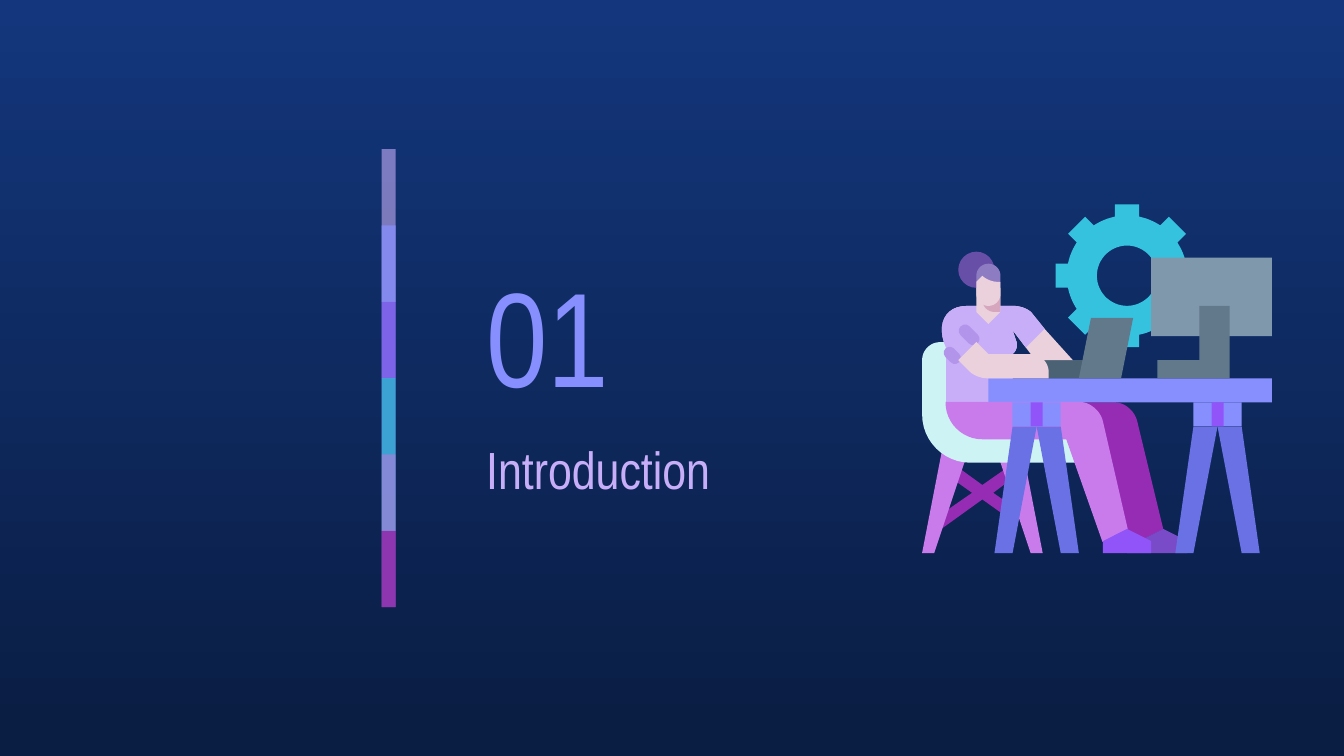
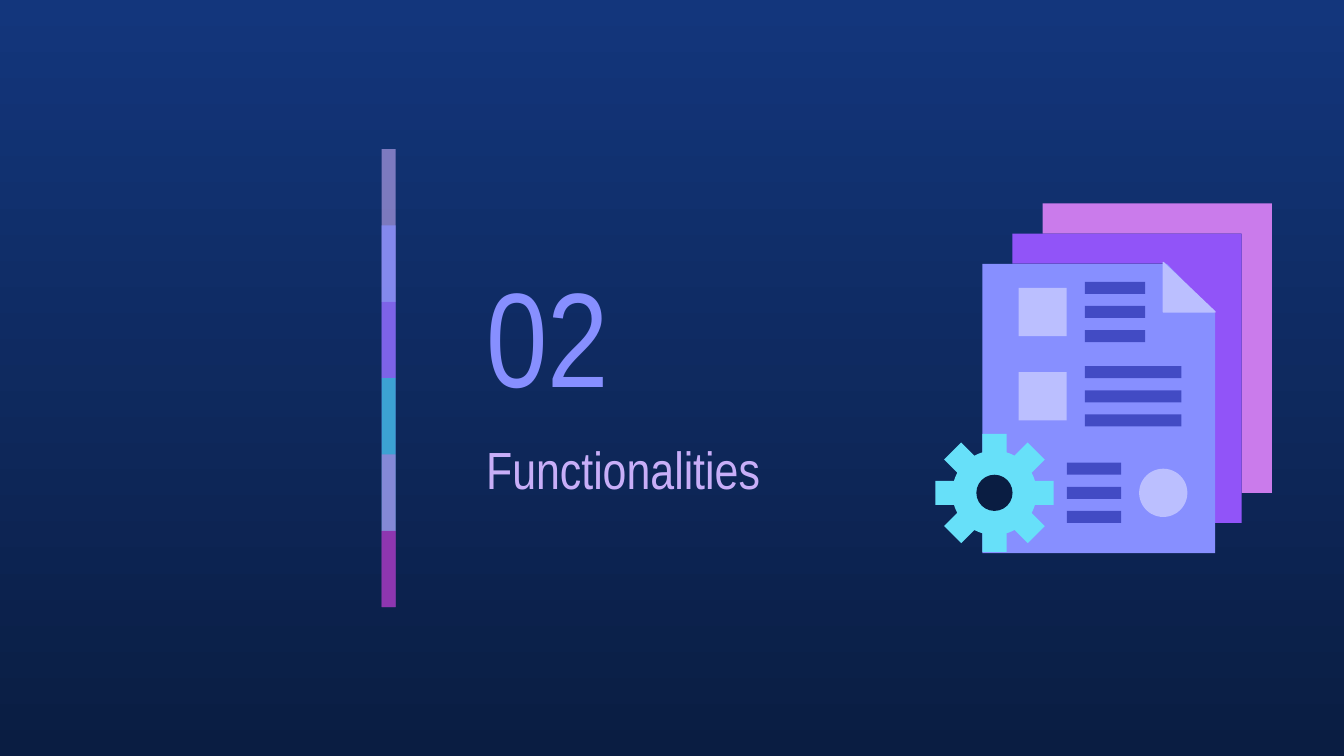
from math import asin, cos, pi, radians, sin

from lxml.etree import SubElement
from pptx import Presentation
from pptx.dml.color import RGBColor
from pptx.enum.shapes import MSO_SHAPE as Preset
from pptx.enum.text import MSO_ANCHOR as Anchor
from pptx.oxml.ns import qn
from pptx.util import Pt

FONT = "Arial Narrow"
SKY, NAVY = "13367C", "0A1D42"
PERIWINKLE, LILAC, PINK = "878FFF", "C8AEF8", "CA7BEB"
VIOLET, PLUM, CYAN, AQUA = "9154F8", "972CB4", "35C2DF", "67E0F9"
SKIN, BLUSH, STRIPE = "EAD1DC", "D5A6BD", "B394EB"
HAIR, FRINGE, BACK_SHOE = "674EA7", "8E7CC3", "794BC8"
STEEL, DARK_STEEL, LIGHT_STEEL = "62798C", "4B6275", "8098AB"
CHAIR, TRESTLE, PALE, INK = "CEF3F5", "6971E5", "BBBFFF", "424BC4"

# Colour and opacity in percent, from top to bottom
BAND = [(LILAC, 59), (PERIWINKLE, 74), (VIOLET, 53),
        (CYAN, 76), (PINK, 56), (PLUM, 74)]
BAND_LEFT, BAND_TOP, BAND_WIDTH, BAND_STEP = 204.5, 79.9, 7.5, 40.9

# The illustrations are drawn on a grid of 58 by 58 units
ART_LEFT, ART_TOP, UNIT = 494, 109, 3.23


def rgb(color):
    return RGBColor.from_string(color)


def flatten(outline):
    """Turn (x, y) points and (corner x, corner y, x, y) rounded corners into points."""
    points = []
    for *corner, x, y in outline:
        if corner:
            start = points[-1]
            controls = [[p + 0.55 * (c - p) for p, c in zip(end, corner)]
                        for end in (start, (x, y))]
            for t in (step / 12 for step in range(1, 12)):
                u = 1 - t
                points.append(tuple(
                    u**3 * a + 3 * u * u * t * b + 3 * u * t * t * c + t**3 * d
                    for a, b, c, d in zip(start, *controls, (x, y))))
        points.append((x, y))
    return points


def polar(center, radius, angle):
    return center[0] + radius * cos(angle), center[1] + radius * sin(angle)


def mirror(outline, axis):
    return [(2 * axis - x, y) for x, y in outline]


class Deck:
    """The presentation, its style and the current slide."""

    def __init__(self):
        self.file = Presentation()
        self.file.slide_width, self.file.slide_height = Pt(720), Pt(405)
        self.slide = None

    def section(self, number, title):
        self.slide = self.file.slides.add_slide(self.file.slide_layouts[6])
        fill = self.slide.background.fill
        fill.gradient()
        fill.gradient_angle = 270
        for stop, color, position in zip(fill.gradient_stops, (SKY, NAVY), (0, 1)):
            stop.color.rgb = rgb(color)
            stop.position = position
        self.band()
        self.text(number, 253.4, 130.3, 126, 97, 72, PERIWINKLE)
        self.text(title, 253.4, 226.8, 206.6, 48.2, 28, LILAC)

    def band(self):
        """Overlapping translucent bars, two steps tall but for the last."""
        for row, (color, opacity) in enumerate(BAND):
            steps = min(2, len(BAND) - row)
            bar = self.slide.shapes.add_shape(
                Preset.RECTANGLE, Pt(BAND_LEFT), Pt(BAND_TOP + row * BAND_STEP),
                Pt(BAND_WIDTH), Pt(steps * BAND_STEP))
            self.paint(bar, color)
            tint = bar.fill._xPr.find(qn("a:solidFill"))[0]
            SubElement(tint, qn("a:alpha"), val=str(opacity * 1000))

    def text(self, words, left, top, width, height, size, color):
        box = self.slide.shapes.add_textbox(Pt(left), Pt(top), Pt(width), Pt(height))
        frame = box.text_frame
        frame.word_wrap = True
        frame.vertical_anchor = Anchor.MIDDLE
        frame.margin_left = frame.margin_right = Pt(7.2)
        frame.margin_top = frame.margin_bottom = Pt(7.2)
        frame.text = words
        font = frame.paragraphs[0].runs[0].font
        font.name, font.size = FONT, Pt(size)
        font.color.rgb = rgb(color)

    def paint(self, shape, color, outlined=False):
        shape.shadow.inherit = False
        shape.fill.solid()
        shape.fill.fore_color.rgb = rgb(color)
        if outlined:
            shape.line.color.rgb = rgb(color)
            shape.line.width = Pt(0.75)
        else:
            shape.line.fill.background()

    def block(self, color, x, y, width, height, preset=Preset.RECTANGLE, turn=0):
        """A preset shape placed in grid units."""
        shape = self.slide.shapes.add_shape(
            preset, Pt(ART_LEFT + x * UNIT), Pt(ART_TOP + y * UNIT),
            Pt(width * UNIT), Pt(height * UNIT))
        self.paint(shape, color)
        shape.rotation = turn
        return shape

    def disc(self, color, x, y, size):
        self.block(color, x, y, size, size, Preset.OVAL)

    def capsule(self, color, x, y, width, height):
        shape = self.block(color, x, y, width, height, Preset.ROUNDED_RECTANGLE, 45)
        shape.adjustments[0] = 0.5

    def outline(self, color, *contours, outlined=False):
        """A filled outline in grid units; further contours are holes."""
        builder = None
        for contour in contours:
            start, *others = [(Pt(ART_LEFT + x * UNIT), Pt(ART_TOP + y * UNIT))
                              for x, y in flatten(contour)]
            if builder is None:
                builder = self.slide.shapes.build_freeform(*start)
            else:
                builder.move_to(*start)
            builder.add_line_segments(others, close=True)
        self.paint(builder.convert_to_shape(), color, outlined)

    def gear(self, color, center, tip, body, hole=0):
        """Eight teeth, four units wide, around a round body."""
        base_angle, tip_angle = asin(2 / body), asin(2 / tip)
        gap = pi / 4 - 2 * base_angle
        rim = []
        for tooth in range(8):
            angle = tooth * pi / 4
            rim += [polar(center, body, angle - base_angle),
                    polar(center, tip, angle - tip_angle),
                    polar(center, tip, angle + tip_angle)]
            rim += [polar(center, body, angle + base_angle + gap * step / 6)
                    for step in range(6)]
        contours = [rim]
        if hole:
            contours.append([polar(center, hole, radians(-d)) for d in range(0, 360, 6)])
        self.outline(color, *contours)

    def trestle(self, center):
        self.block(PERIWINKLE, center - 4, 33, 8, 4)
        self.block(VIOLET, center - 1, 33, 2, 4)
        leg = [(center - 4, 37), (center - 7, 58), (center - 4, 58), (center, 37)]
        self.outline(TRESTLE, leg)
        self.outline(TRESTLE, mirror(leg, center))


def draw_worker(deck):
    deck.gear(CYAN, (34, 12), 12, 10, hole=5)
    deck.block(DARK_STEEL, 20, 26, 7, 3)

    # Chair
    deck.outline(PLUM, [(5.6, 43.5), (4.5, 45.3), (8.3, 48), (1.8, 52.5), (2.9, 54.2),
                        (10, 49.1), (13.8, 51.8), (15, 50.2), (11.8, 48), (15.4, 45.3),
                        (14.3, 43.7), (10, 46.7)])
    chair_leg = [(12, 40), (18, 58), (20, 58), (16.5, 40)]
    deck.outline(PINK, chair_leg)
    deck.outline(PINK, mirror(chair_leg, 10))
    deck.outline(CHAIR, [(3, 23), (0, 23, 0, 26), (0, 35), (0, 43, 8, 43), (27, 43),
                         (27, 38), (10, 38), (5, 38, 5, 33), (5, 23)])

    # Far leg and shoe
    deck.outline(PLUM, [(10, 33), (10, 39, 16, 39), (30, 39), (34, 56), (36, 56),
                        (40, 54), (35.7, 36.2), (35, 33, 32, 33)])
    deck.outline(BACK_SHOE, [(40, 54), (36, 56), (34, 56), (34, 58), (44, 58), (44, 56)])

    # Arms below, shirt above
    chest = [(7.4, 17), (0.8, 17, 4, 24), (4, 33), (15, 33), (15, 25),
             (16.2, 24, 15.6, 22.8), (15, 21), (17.2, 23.9)]
    shoulder = [(20.3, 20.8), (18.3, 18.3), (17.4, 17, 15.2, 17)]
    deck.outline(SKIN, chest + [(18.8, 26), (25, 26)] + shoulder)
    deck.outline(LILAC, chest + shoulder)
    deck.block(PERIWINKLE, 11, 29, 47, 4)
    deck.capsule(STRIPE, 3.4, 24.2, 3.2, 2)
    deck.capsule(STRIPE, 5.8, 20.75, 4, 2.1)
    deck.outline(SKIN, [(9, 14), (9, 18), (11, 20), (13, 18), (13, 14)])
    deck.outline(SKIN, [(9, 23), (6, 26), (7.9, 27.9), (9, 29, 10.7, 29), (21, 29),
                        (21, 28), (21, 25, 18, 25), (11, 25)])
    deck.outline(STEEL, [(28, 19), (26, 29), (33, 29), (35, 19)])

    # Near leg and shoe
    deck.outline(PINK, [(4, 33), (4, 39, 10, 39), (24, 39), (30, 56), (34, 54),
                        (29.9, 36.2), (29.2, 33, 26, 33)], outlined=True)
    deck.outline(VIOLET, [(34, 54), (30, 56), (30, 58), (38, 58), (38, 56)])

    # Monitor and desk legs
    deck.block(LIGHT_STEEL, 38, 9, 20, 13)
    deck.outline(STEEL, [(46, 17), (46, 26), (39, 26), (39, 29), (51, 29), (51, 17)])
    for center in (49, 19):
        deck.trestle(center)

    # Head
    deck.outline(BLUSH, [(10, 14), (10, 16), (10, 18, 12, 18), (13, 18), (13, 14)])
    deck.disc(HAIR, 6, 8, 6)
    deck.outline(FRINGE, [(11, 10), (9, 10, 9, 12), (9, 14), (13, 14), (13, 12),
                          (13, 10, 11, 10)])
    deck.outline(SKIN, [(10, 12), (9, 13), (9, 15), (9, 17, 11, 17), (13, 17, 13, 15),
                        (13, 13), (12.4, 13), (11, 13, 10, 12)])


def draw_documents(deck):
    deck.outline(PINK, [(20, 0), (20, 5), (53, 5), (53, 48), (58, 48), (58, 0)])
    deck.outline(VIOLET, [(15, 5), (15, 10), (40, 10), (48, 18), (48, 53), (53, 53),
                          (53, 5)])
    deck.outline(PERIWINKLE, [(10, 10), (10, 58), (48.6, 58), (48.6, 18.2), (40.6, 10)])
    deck.gear(AQUA, (12, 48), 10, 7)
    deck.disc(NAVY, 9, 45, 6)
    for y in (14, 28):
        deck.block(PALE, 16, y, 8, 8)
    deck.disc(PALE, 36, 44, 8)
    for x, y, width in ((27, 13, 10), (27, 27, 16), (24, 43, 9)):
        for row in range(3):
            deck.block(INK, x, y + 4 * row, width, 2)
    deck.outline(PALE, [(40, 9.8), (40, 18), (48.6, 18)], outlined=True)


def main():
    deck = Deck()
    deck.section("01", "Introduction")
    draw_worker(deck)
    deck.section("02", "Functionalities")
    draw_documents(deck)
    deck.file.save("out.pptx")


if __name__ == "__main__":
    main()
